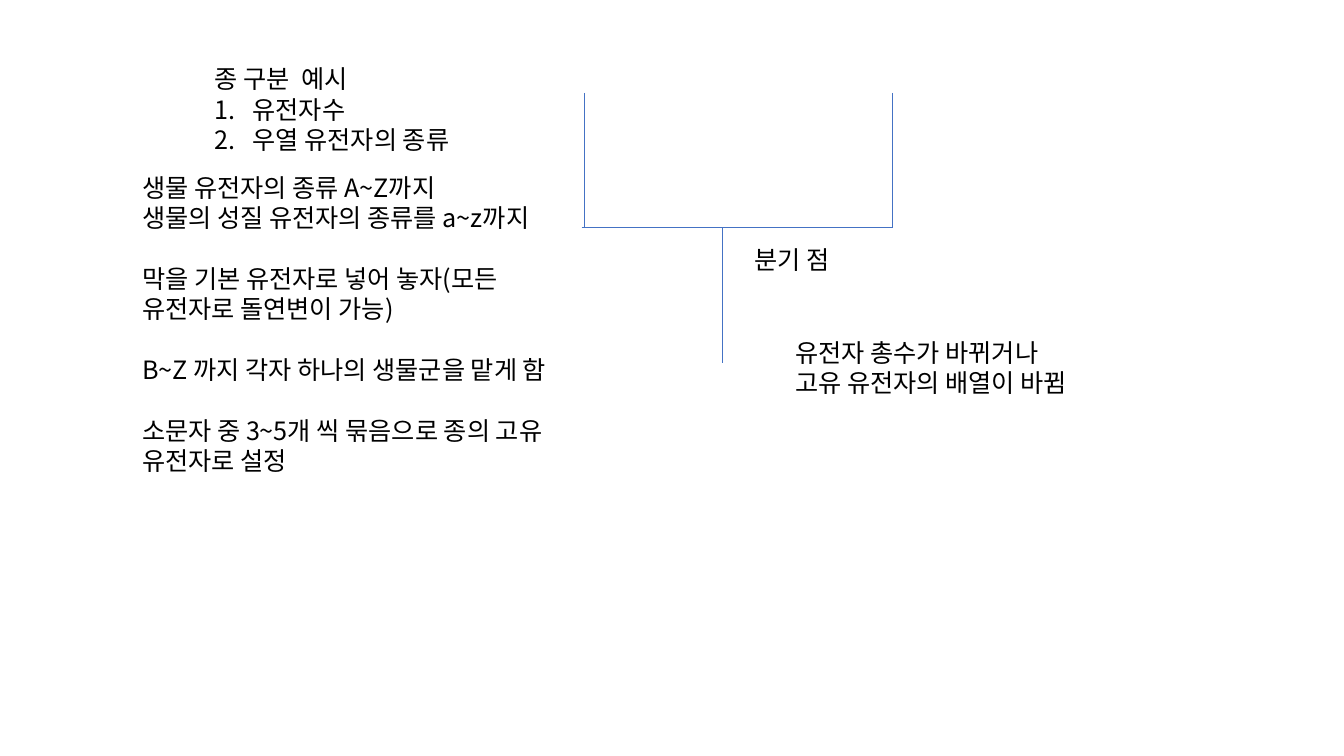
from lxml import etree
from pptx import Presentation
from pptx.dml.color import RGBColor
from pptx.enum import shapes, text
from pptx.oxml.ns import qn
from pptx.util import Cm, Pt

FONT = "Noto Sans CJK KR"
BLACK = "000000"
BLUE = "4472C4"
LINE_PITCH = Pt(21.8)

NOTES = [
    "생물 유전자의 종류 A~Z까지",
    "생물의 성질 유전자의 종류를 a~z까지",
    "막을 기본 유전자로 넣어 놓자(모든 유전자로 돌연변이 가능)",
    "B~Z 까지 각자 하나의 생물군을 맡게 함",
    "소문자 중 3~5개 씩 묶음으로 종의 고유 유전자로 설정",
]


def rgb(value):
    return RGBColor.from_string(value)


def place(sp, left, top, width, height):
    sp.left, sp.top, sp.width, sp.height = map(Cm, (left, top, width, height))


def fill_text(sp, lines):
    tf = sp.text_frame
    tf.text = "\n".join(lines)
    tf.word_wrap = True
    tf.auto_size = text.MSO_AUTO_SIZE.NONE
    tf.vertical_anchor = text.MSO_ANCHOR.TOP
    for p in tf.paragraphs:
        p.alignment = text.PP_ALIGN.LEFT
        p.space_before = Pt(0)
        for r in p.runs:
            r.font.name = FONT
            r.font.size = Pt(18)
            r.font.color.rgb = rgb(BLACK)
            etree.SubElement(r.font._element, qn("a:ea"), typeface=FONT)
    return tf


def number_list(tf):
    indent = Cm(0.95)
    for p in tf.paragraphs:
        pPr = p._p.get_or_add_pPr()
        pPr.set("marL", str(indent))
        pPr.set("indent", str(-indent))
        etree.SubElement(pPr, qn("a:buFont"), typeface=FONT)
        etree.SubElement(pPr, qn("a:buAutoNum"), type="arabicPeriod")


def add_text(slide, box, lines):
    sp = slide.shapes.add_textbox(*map(Cm, box))
    return fill_text(sp, lines)


def add_line(slide, *ends):
    line = slide.shapes.add_connector(
        shapes.MSO_CONNECTOR.STRAIGHT, *map(Cm, ends))
    line.line.color.rgb = rgb(BLUE)
    line.line.width = Pt(0.5)
    etree.SubElement(line._element.spPr, qn("a:effectLst"))


def add_branch(slide):
    """Draw the fork: two arms, a crossbar and the stem below it."""
    top, fork, bottom = 2.34, 5.74, 9.14
    left, stem, right = 14.73, 18.21, 22.5
    add_line(slide, stem, fork, stem, bottom)
    add_line(slide, 14.66, fork, right, fork)
    for arm in (left, right):
        add_line(slide, arm, top, arm, fork)


def main():
    prs = Presentation()
    prs.slide_width, prs.slide_height = Cm(33.87), Cm(19.05)
    slide = prs.slides.add_slide(prs.slide_layouts[1])

    title, criteria = slide.placeholders
    place(title, 5.16, 1.47, 7.06, 1.02)
    fill_text(title, ["종 구분  예시"])
    place(criteria, 5.16, 2.24, 7.06, 1.8)
    number_list(fill_text(criteria, ["유전자수", "우열 유전자의 종류"]))

    notes = add_text(slide, (3.33, 4.22, 11.46, 10.26), NOTES)
    for p in notes.paragraphs[2:]:
        p.space_before = LINE_PITCH

    add_branch(slide)
    add_text(slide, (18.77, 6.02, 2.9, 1.02), ["분기 점"])
    add_text(slide, (19.79, 8.38, 8.26, 2.57),
             ["유전자 총수가 바뀌거나", "고유 유전자의 배열이 바뀜"])
    prs.save("out.pptx")


if __name__ == "__main__":
    main()
